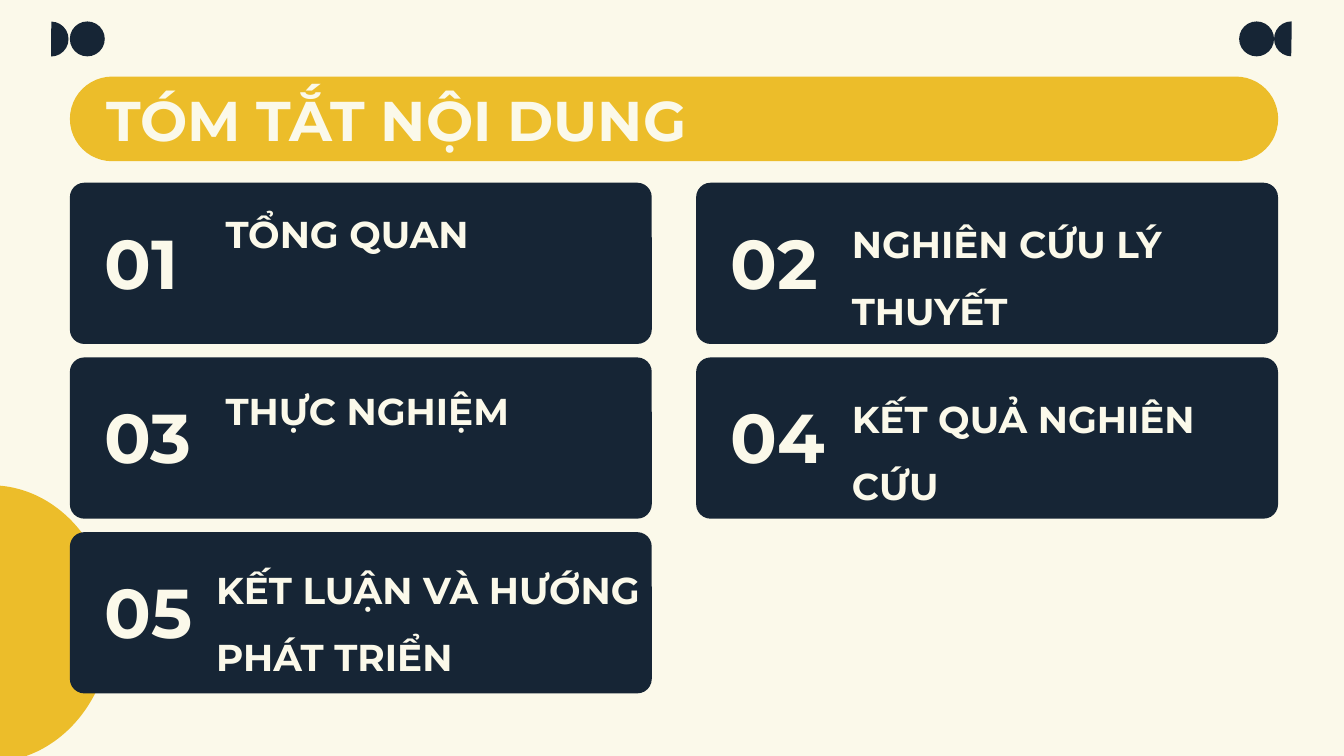
from pptx import Presentation
from pptx.dml.color import RGBColor
from pptx.enum import shapes, text
from pptx.util import Inches, Pt

CREAM = RGBColor(0xFB, 0xF9, 0xEA)
NAVY = RGBColor(0x16, 0x25, 0x35)
YELLOW = RGBColor(0xEC, 0xBD, 0x2A)
SHAPE = shapes.MSO_SHAPE

deck = Presentation()
deck.slide_width = Inches(10)
deck.slide_height = Inches(10 * 9 / 16)
slide = deck.slides.add_slide(deck.slide_layouts[5])
slide.background.fill.solid()
slide.background.fill.fore_color.rgb = CREAM


def draw(kind, left, top, width, height, color, adjust=(), rotation=0):
    figure = slide.shapes.add_shape(
        kind, Inches(left), Inches(top), Inches(width), Inches(height))
    for i, value in enumerate(adjust):
        figure.adjustments[i] = value
    figure.rotation = rotation
    figure.shadow.inherit = False
    figure.fill.solid()
    figure.fill.fore_color.rgb = color
    figure.line.fill.background()


def write(words, left, top, width, height, size, holder=None, inset=0.1,
          anchor=text.MSO_ANCHOR.TOP, spacing=1.0):
    holder = holder or slide.shapes.add_textbox(0, 0, 0, 0)
    holder.left, holder.top = Inches(left), Inches(top)
    holder.width, holder.height = Inches(width), Inches(height)
    frame = holder.text_frame
    frame.word_wrap = True
    frame.auto_size = text.MSO_AUTO_SIZE.NONE
    frame.vertical_anchor = anchor
    frame.margin_left = frame.margin_right = Inches(inset)
    frame.margin_top = frame.margin_bottom = Inches(inset)
    paragraph = frame.paragraphs[0]
    paragraph.alignment = text.PP_ALIGN.LEFT
    paragraph.line_spacing = spacing
    run = paragraph.add_run()
    run.text = words
    run.font.name = "Montserrat"
    run.font.size = Pt(size)
    run.font.bold = True
    run.font.color.rgb = CREAM


draw(SHAPE.PIE, -0.97, 3.61, 1.8, 2.06, YELLOW, (53.46, 162), 180)
for half_left, dot_left, rotation in [(0.25, 0.52, 180), (9.48, 9.22, 0)]:
    draw(SHAPE.PIE, half_left, 0.16, 0.26, 0.26, NAVY, (54.58, 162), rotation)
    draw(SHAPE.OVAL, dot_left, 0.16, 0.26, 0.26, NAVY)

draw(SHAPE.ROUNDED_RECTANGLE, 0.52, 0.57, 8.99, 0.63, YELLOW, (0.5,))
heading = slide.shapes.title
heading.element.getparent().append(heading.element)
write("TÓM TẮT NỘI DUNG", 0.79, 0.57, 8.43, 0.63, 30, holder=heading,
      inset=0, anchor=text.MSO_ANCHOR.MIDDLE)

sections = [
    ("TỔNG QUAN", 1.58, 1.47, 3.1, 0.43, 1.0),
    ("NGHIÊN CỨU LÝ THUYẾT", 6.24, 1.38, 3.1, 1.04, 1.5),
    ("THỰC NGHIỆM", 1.58, 2.79, 3.1, 1.07, 1.0),
    ("KẾT QUẢ NGHIÊN CỨU", 6.24, 2.68, 3.1, 1.02, 1.5),
    ("KẾT LUẬN VÀ HƯỚNG PHÁT TRIỂN", 1.51, 3.95, 3.59, 1.19, 1.5),
]
for index, (name, left, top, width, height, spacing) in enumerate(sections):
    row, column = divmod(index, 2)
    card_left = 0.52 + 4.66 * column
    card_top = 1.36 + 1.3 * row
    draw(SHAPE.ROUNDED_RECTANGLE, card_left, card_top, 4.33, 1.2, NAVY, (0.09,))
    write(f"{index + 1:02d}", card_left + 0.16, card_top + 0.13, 0.96, 0.91, 37,
          anchor=text.MSO_ANCHOR.MIDDLE)
    write(name, left, top, width, height, 20, spacing=spacing)

deck.save("out.pptx")
